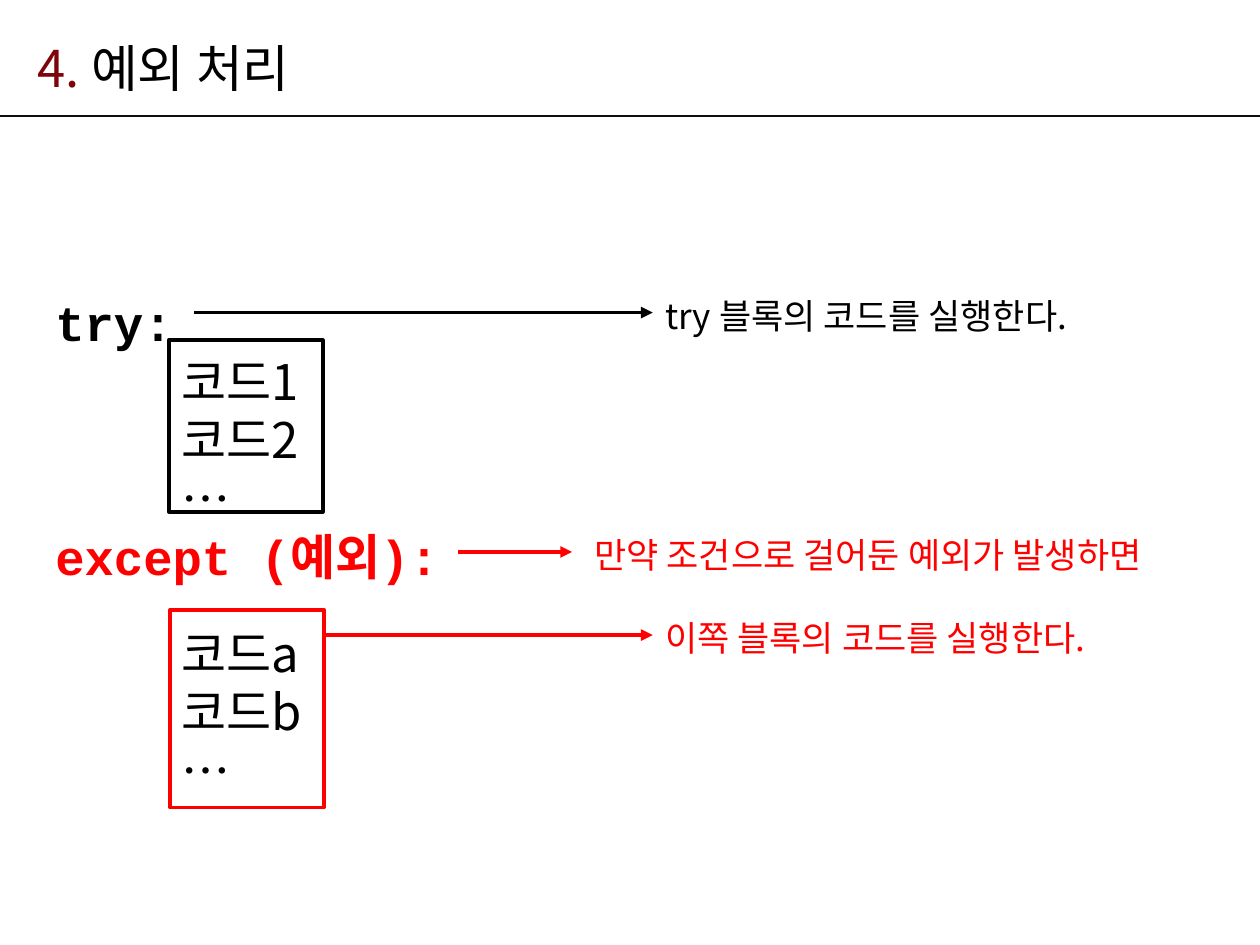
import pptx
import pptx.util
import pptx.dml.color
import pptx.enum.shapes
import pptx.enum.text
import pptx.oxml
import pptx.oxml.ns
from pptx.util import Pt

BLACK, RED, MAROON, RULE = "000000", "FF0000", "7E040B", "0D0D0D"
SANS, MONO = "Noto Sans CJK KR", "Courier New"


def color(value):
    return pptx.dml.color.RGBColor.from_string(value)


class Slide:
    """The current slide and its text and line style."""

    def __init__(self, prs):
        self.s = prs.slides.add_slide(prs.slide_layouts[6])

    def sub(self, parent, tag, **attrs):
        el = pptx.oxml.parse_xml(f"<{tag} {pptx.oxml.ns.nsdecls('a')}/>")
        for name, value in attrs.items():
            el.set(name, value)
        parent.append(el)

    def text(self, x, y, w, h, paragraphs, size, spacing, middle=False):
        """Each paragraph is (runs, font, bold, indent, gap); a run is (text, color)."""
        sp = self.s.shapes.add_textbox(Pt(x), Pt(y), Pt(w), Pt(h))
        tf = sp.text_frame
        tf.word_wrap = True
        if middle:
            tf.vertical_anchor = pptx.enum.text.MSO_ANCHOR.MIDDLE
        for i, (runs, font, bold, indent, gap) in enumerate(paragraphs):
            p = tf.add_paragraph() if i else tf.paragraphs[0]
            p.line_spacing, p.space_before = Pt(spacing), Pt(gap)
            p.font.size, p.font.name, p.font.bold = Pt(size), font, bold
            p._p.get_or_add_pPr().set("marL", str(Pt(indent)))
            for words, value in runs:
                r = p.add_run()
                r.text = words
                r.font.color.rgb = color(value)
                self.sub(r._r.get_or_add_rPr(), "a:ea", typeface=SANS)

    def note(self, x, y, w, words, value):
        self.text(x, y, w, 31.7, [([(words, value)], SANS, False, 0, 0)], 20, 26)

    def line(self, x1, x2, y, value, width=2.25, arrow=True):
        sp = self.s.shapes.add_connector(
            pptx.enum.shapes.MSO_CONNECTOR.STRAIGHT, Pt(x1), Pt(y), Pt(x2), Pt(y))
        sp.line.color.rgb, sp.line.width = color(value), Pt(width)
        if arrow:
            self.sub(sp.line._get_or_add_ln(), "a:tailEnd", type="triangle")
        self.sub(sp._element.spPr, "a:effectLst")

    def frame(self, x, y, w, h, value):
        sp = self.s.shapes.add_shape(
            pptx.enum.shapes.MSO_SHAPE.RECTANGLE, Pt(x), Pt(y), Pt(w), Pt(h))
        sp.shadow.inherit = False
        sp.fill.background()
        sp.line.color.rgb, sp.line.width = color(value), Pt(2.25)


prs = pptx.Presentation()
prs.slide_width, prs.slide_height = Pt(720), Pt(540)
slide = Slide(prs)

# Heading and rule
slide.line(0, 720, 66.2, RULE, 1.5, arrow=False)
slide.text(14.4, 15.1, 607, 44,
           [([("4. ", MAROON), ("예외 처리", BLACK)], SANS, False, 0, 0)],
           29, 37, middle=True)


# Code listing
def keyword(words, value):
    return [(words, value)], MONO, True, 0, 0


def code(words, gap=0):
    return [(words, BLACK)], SANS, False, 72, gap


slide.text(24.5, 164, 450, 300, [
    keyword("try:", BLACK), code("코드1"), code("코드2"), code("…"),
    keyword("except (예외):", RED), code("코드a", 22), code("코드b"), code("…"),
], 28, 33.4)

# Arrows
for x1, x2, y, value in [(110.9, 373, 178.6, BLACK), (262, 326.9, 315.4, RED),
                         (184.3, 373, 362.9, RED)]:
    slide.line(x1, x2, y, value)

# Explanations
slide.note(373, 162.7, 301, "try 블록의 코드를 실행한다.", BLACK)
slide.note(332.6, 299.5, 355, "만약 조건으로 걸어둔 예외가 발생하면", RED)
slide.note(373, 347, 301, "이쪽 블록의 코드를 실행한다.", RED)

# Block frames
slide.frame(96.5, 194.4, 88, 98, BLACK)
slide.frame(97.2, 348.5, 88, 113, RED)

prs.save("out.pptx")
